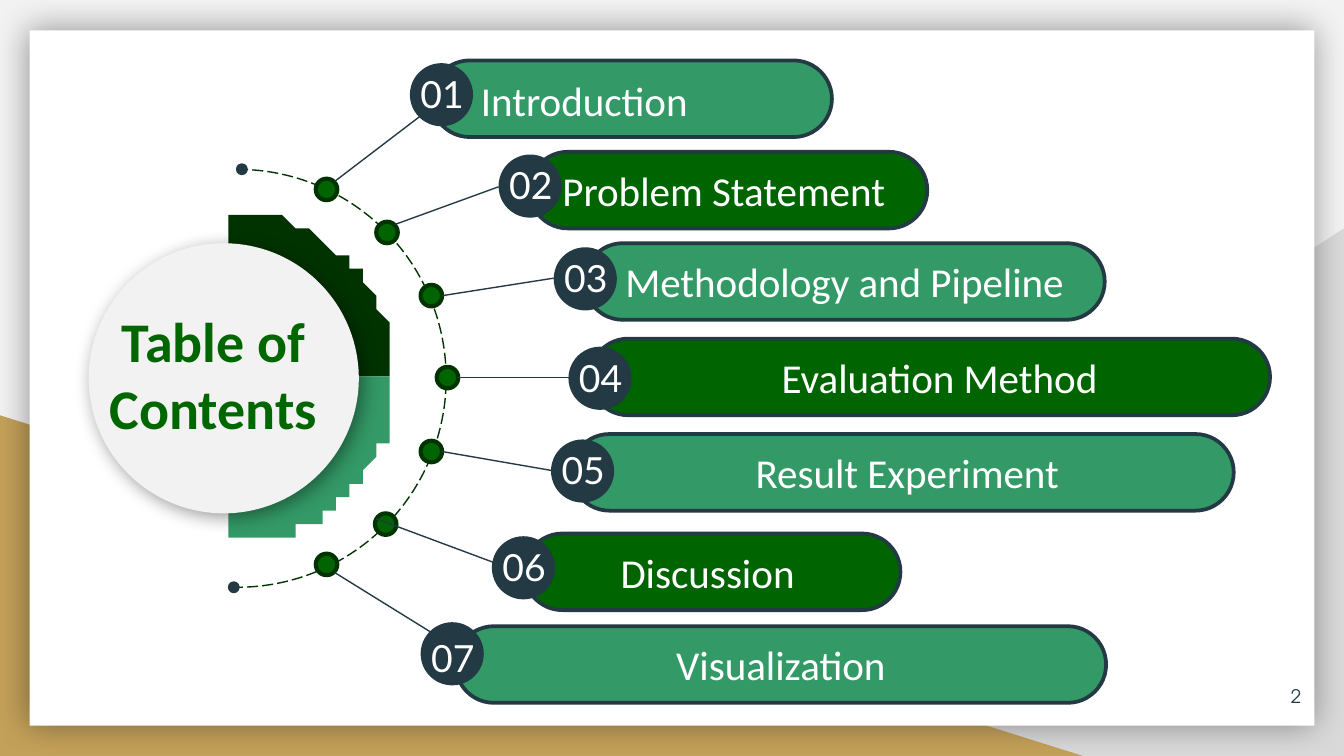
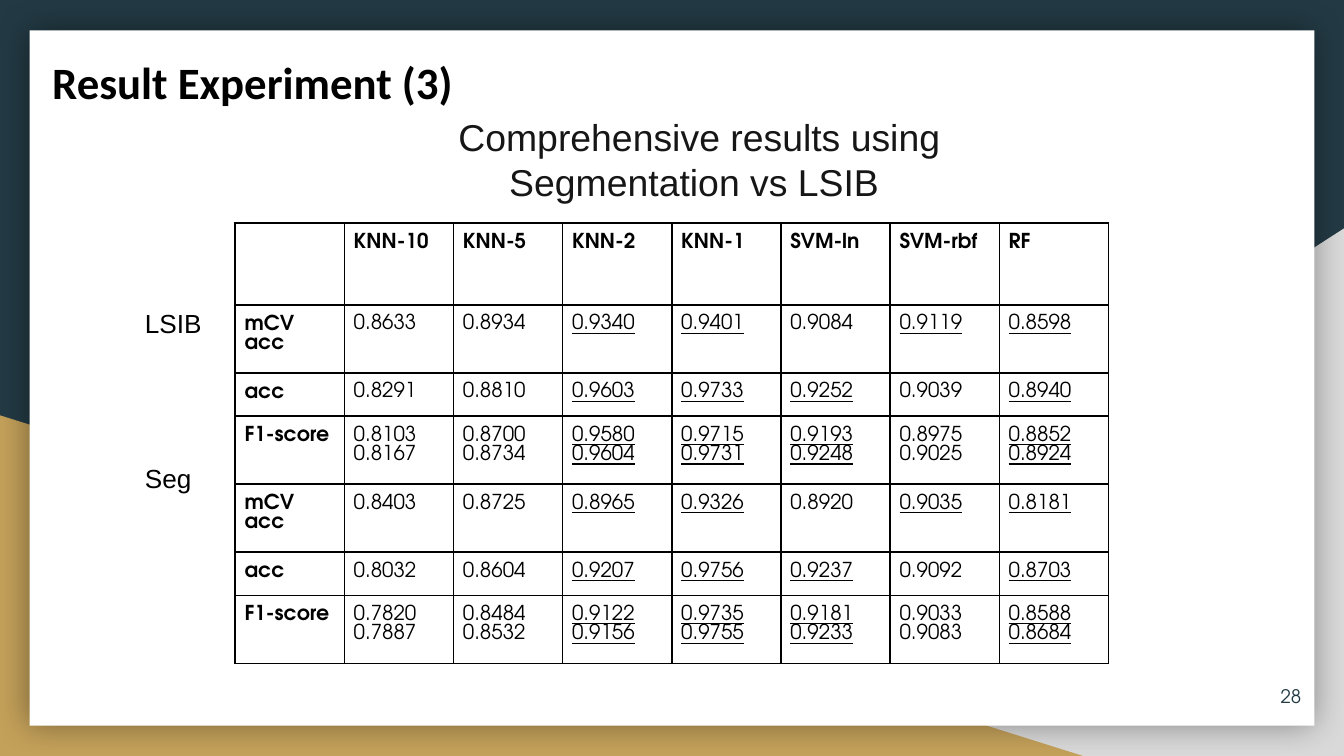
import math
from collections import namedtuple

import pptx
import pptx.dml.color
import pptx.enum.shapes
import pptx.enum.text
import pptx.oxml
import pptx.oxml.ns
import pptx.util
from lxml import etree

# The slide is a grid of 100 columns by 56.25 rows of square cells.
COLUMNS, ROWS = 100, 56.25
CELL = pptx.util.Inches(0.1)

NAVY, WHITE, BLACK, PALE = "233A44", "FFFFFF", "000000", "F2F2F2"
GREY, GOLD, CHARCOAL = "D9D9D9", "C4A15A", "161616"
DEEP, DARK, LIGHT, HEADING = "003300", "006400", "339966", "006600"
BODY, NUMERAL, PLAIN, GEOMETRIC = "Calibri", "Lato", "Arial", "TeX Gyre Adventor"

SHAPES = pptx.enum.shapes.MSO_SHAPE
ALIGN = pptx.enum.text.PP_ALIGN
ANCHOR = pptx.enum.text.MSO_ANCHOR


class Box(namedtuple("Box", "left top width height")):
    def inner(self, left, top, width, height):
        """Box placed relative to this one's top left corner."""
        return Box(self.left + left, self.top + top, width, height)

    def emu(self):
        return [cells(value) for value in self]


# number_drop moves the numeral down, lead pushes the title right
Topic = namedtuple("Topic", "title badge bar dot start end number_drop lead",
                   defaults=(1, 0))

# badge, dot, start and end are column and row; bar is offset from badge and width
TOPICS = [
    Topic("Introduction", (30.5, 4.7), (1.6, -0.2, 29.8), (23.5, 13.3),
          (24.9, 13.5), (31.2, 8.7)),
    Topic("Problem Statement ", (37.1, 11.5), (2.3, -0.2, 29.6), (28, 16.5),
          (29.4, 16.7), (37.1, 13.9)),
    Topic(" Methodology and Pipeline ", (41.2, 18.4), (2.3, -0.3, 38.7), (31.3, 21.2),
          (32.9, 22), (41.2, 20.7)),
    Topic("Evaluation Method", (42.3, 25.8), (1.6, -0.6, 50.6), (32.5, 27.3),
          (34.1, 28.1), (42.3, 28.1), lead=1.4),
    Topic("Result Experiment ", (41, 32.7), (1.5, -0.4, 49.3), (31.3, 32.8),
          (32.9, 33.6), (41, 35), lead=1.4),
    Topic("Discussion ", (36.6, 39.9), (2.4, -0.2, 28), (27.9, 38.2),
          (28, 38.6), (38.2, 42.4)),
    Topic("Visualization", (31.3, 46.3), (2.6, 0.3, 48.4), (23.5, 41.2),
          (24.9, 42.6), (32, 47), number_drop=5),
]

MODELS = ["KNN-10", "KNN-5", "KNN-2", "KNN-1", "SVM-ln", "SVM-rbf", "RF"]
RESULTS = [
    ("mCV acc", "0.8633 0.8934 0.9340 0.9401 0.9084 0.9119 0.8598"),
    ("acc", "0.8291 0.8810 0.9603 0.9733 0.9252 0.9039 0.8940"),
    ("F1-score", "0.8103/0.8167 0.8700/0.8734 0.9580/0.9604 0.9715/0.9731 "
                 "0.9193/0.9248 0.8975/0.9025 0.8852/0.8924"),
    ("mCV acc", "0.8403 0.8725 0.8965 0.9326 0.8920 0.9035 0.8181"),
    ("acc", "0.8032 0.8604 0.9207 0.9756 0.9237 0.9092 0.8703"),
    ("F1-score", "0.7820/0.7887 0.8484/0.8532 0.9122/0.9156 0.9735/0.9755 "
                 "0.9181/0.9233 0.9033/0.9083 0.8588/0.8684"),
]
ROW_HEIGHTS = {"": 6.1, "mCV acc": 5.06, "acc": 3.22, "F1-score": 5.06}


# Helpers
def cells(count):
    return round(count * CELL)


def rgb(value):
    return pptx.dml.color.RGBColor.from_string(value)


def style(shape, fill=None, line=None, weight=2):
    shape.shadow.inherit = False
    if fill:
        shape.fill.solid()
        shape.fill.fore_color.rgb = rgb(fill)
    else:
        shape.fill.background()
    if line:
        shape.line.color.rgb = rgb(line)
        shape.line.width = pptx.util.Pt(weight)
    else:
        shape.line.fill.background()
    return shape


def add_shape(slide, kind, box, fill=None, line=None, weight=2):
    shape = slide.shapes.add_shape(kind, *box.emu())
    return style(shape, fill, line, weight)


def add_shadow(shape, blur, distance=0, angle=0):
    effects = shape._element.spPr.find(pptx.oxml.ns.qn("a:effectLst"))
    effects.append(pptx.oxml.parse_xml(
        f'<a:outerShdw {pptx.oxml.ns.nsdecls("a")} blurRad="{pptx.util.Pt(blur)}" '
        f'dist="{pptx.util.Pt(distance)}" dir="{angle * 60000}" rotWithShape="0">'
        f'<a:srgbClr val="{BLACK}"><a:alpha val="40000"/></a:srgbClr></a:outerShdw>'))


def add_line(slide, start, end):
    line = slide.shapes.add_connector(
        pptx.enum.shapes.MSO_CONNECTOR.STRAIGHT,
        *[cells(value) for value in (*start, *end)])
    line.line.color.rgb = rgb(NAVY)
    line.line.width = pptx.util.Pt(0.75)
    etree.SubElement(line._element.spPr, pptx.oxml.ns.qn("a:effectLst"))


def write(frame, lines, size, font, color, bold=False, underline=False,
          align=ALIGN.LEFT, indent=0, spacing=None):
    for index, text in enumerate(lines):
        paragraph = frame.add_paragraph() if index else frame.paragraphs[0]
        paragraph.alignment = align
        if spacing:
            paragraph.line_spacing = pptx.util.Pt(spacing)
        if indent:
            properties = paragraph._p.get_or_add_pPr()
            properties.set("marL", str(cells(indent)))
            properties.set("indent", "0")
        run = paragraph.add_run()
        run.text = text
        run.font.size = pptx.util.Pt(size)
        run.font.name = font
        run.font.bold = bold
        run.font.underline = underline
        run.font.color.rgb = rgb(color)


def add_text(slide, box, lines, size, font, color, margin=0.5, wrap=True,
             anchor=ANCHOR.TOP, **options):
    frame = slide.shapes.add_textbox(*box.emu()).text_frame
    frame.word_wrap = wrap
    frame.vertical_anchor = anchor
    frame.margin_top = frame.margin_bottom = cells(margin)
    write(frame, lines, size, font, color, **options)


# Shared background, white card and page number
def add_page(presentation, background, number):
    slide = presentation.slides.add_slide(presentation.slide_layouts[6])
    slide.background.fill.solid()
    slide.background.fill.fore_color.rgb = rgb(background)
    page = Box(0, 0, COLUMNS, ROWS)
    right_corner = add_shape(slide, SHAPES.RIGHT_TRIANGLE,
                             page.inner(39.2, 17, 60.8, 39.25), GREY)
    right_corner._element.spPr.xfrm.set("flipH", "1")
    add_shape(slide, SHAPES.RIGHT_TRIANGLE, page.inner(0, 30.9, 80.6, 25.35), GOLD)
    card = page.inner(2.2, 2.25, 95.6, 51.75)
    add_shadow(add_shape(slide, SHAPES.RECTANGLE, card, WHITE), 18)
    add_text(slide, card.inner(89.6, 47.4, 6, 4.3), [str(number)], 10, GEOMETRIC,
             NAVY, margin=1, anchor=ANCHOR.MIDDLE, align=ALIGN.RIGHT)
    return slide


# Contents slide: dashed arc and its end points
def add_orbit(slide, box):
    arc = add_shape(slide, SHAPES.ARC, box, None, DEEP, 0.75)
    arc.adjustments[0], arc.adjustments[1] = 162, 54.465
    arc.line.dash_style = pptx.enum.dml.MSO_LINE.LONG_DASH
    for left, top in ((15.6, -0.3), (15, 30.8)):
        add_shape(slide, SHAPES.OVAL, box.inner(left, top, 0.6, 0.6), NAVY, NAVY)


# Contents slide: quarter discs behind the round title
def add_quarter(slide, center, radius, first_angle, fill):
    angles = [math.radians(first_angle + 3 * step) for step in range(31)]
    builder = slide.shapes.build_freeform(*center, scale=CELL)
    builder.add_line_segments([(center[0] + radius * math.cos(angle),
                                center[1] + radius * math.sin(angle))
                               for angle in angles])
    style(builder.convert_to_shape(), fill)


def add_hub(slide, box):
    center = (box.left + 10.5, box.top + 10.05)
    add_quarter(slide, center, 12.35, -90, DEEP)
    add_quarter(slide, center, 12.35, 0, LIGHT)
    add_shadow(add_shape(slide, SHAPES.OVAL, box, PALE), 10, 3, 45)
    add_text(slide, box.inner(-1, 4.2, 20.1, 11.1), ["Table of ", "Contents "], 30,
             BODY, HEADING, bold=True, align=ALIGN.CENTER, indent=1.4)


# Contents slide: one dot, its line, and the numbered bar
def add_spoke(slide, topic):
    add_shape(slide, SHAPES.OVAL, Box(*topic.dot, 1.6, 1.6), DARK, DEEP, 2.25)
    add_line(slide, topic.start, topic.end)


def add_topic(slide, number, topic):
    badge = Box(*topic.badge, 4.7, 4.7)
    left, top, width = topic.bar
    bar = add_shape(slide, SHAPES.ROUNDED_RECTANGLE, badge.inner(left, top, width, 5.7),
                    LIGHT if number % 2 else DARK, NAVY)
    bar.adjustments[0] = 0.5
    add_shape(slide, SHAPES.OVAL, badge, NAVY)
    add_text(slide, badge.inner(-0.2, topic.number_drop / 10, 5.6, 4.4),
             [f"{number:02}"], 20, NUMERAL, WHITE)
    if number == 1:
        add_text(slide, badge.inner(4.3, 0.4, 18.3, 4.7), [topic.title], 22, BODY,
                 WHITE, wrap=False)
    else:
        frame = bar.text_frame
        frame.word_wrap = True
        frame.vertical_anchor = ANCHOR.MIDDLE
        frame.margin_left = cells(1 + topic.lead)
        write(frame, [topic.title], 22, BODY, WHITE, align=ALIGN.CENTER)


def build_contents(presentation):
    slide = add_page(presentation, PALE, 2)
    add_orbit(slide, Box(2.1, 12.6, 31.1, 31.1))
    for topic in TOPICS:
        add_spoke(slide, topic)
    for number, topic in enumerate(TOPICS, 1):
        add_topic(slide, number, topic)
    add_hub(slide, Box(6.6, 18.1, 20.1, 20.1))


# Results slide: bordered table
def add_borders(cell):
    properties = cell._tc.get_or_add_tcPr()
    for index, side in enumerate(("lnL", "lnR", "lnT", "lnB")):
        properties.insert(index, pptx.oxml.parse_xml(
            f'<a:{side} {pptx.oxml.ns.nsdecls("a")} w="{pptx.util.Pt(1)}"><a:solidFill>'
            f'<a:srgbClr val="{BLACK}"/></a:solidFill></a:{side}>'))


def is_underlined(metric, model):
    if model == "SVM-ln":
        return metric in ("acc", "F1-score")
    if model == "SVM-rbf":
        return metric == "mCV acc"
    return model in ("KNN-2", "KNN-1", "RF")


def add_results(slide, box):
    rows = [["", *MODELS]] + [[metric, *values.split()] for metric, values in RESULTS]
    table = slide.shapes.add_table(len(rows), len(rows[0]), *box.emu()).table
    table.first_row = table.horz_banding = False
    for column in table.columns:
        column.width = cells(box.width / len(rows[0]))
    for row_index, row in enumerate(rows):
        metric = row[0]
        table.rows[row_index].height = cells(ROW_HEIGHTS[metric])
        for column_index, text in enumerate(row):
            cell = table.cell(row_index, column_index)
            cell.fill.background()
            add_borders(cell)
            cell.margin_left = cell.margin_right = cells(0.7)
            cell.margin_top = cell.margin_bottom = cells(0.7)
            if text:
                is_value = row_index > 0 and column_index > 0
                write(cell.text_frame, text.split("/"), 11, GEOMETRIC, BLACK,
                      bold=not is_value, spacing=10.5,
                      underline=is_value and is_underlined(metric, row_model(column_index)))


def row_model(column_index):
    return MODELS[column_index - 1]


def build_results(presentation):
    slide = add_page(presentation, NAVY, 28)
    add_text(slide, Box(1.5, 3.1, 41.5, 6.1), ["Result Experiment (3)"], 24, BODY,
             BLACK, margin=1, bold=True, indent=1.4)
    add_text(slide, Box(29.7, 8, 44.7, 7.7),
             ["Comprehensive results using Segmentation vs LSIB "], 20, PLAIN,
             CHARCOAL, align=ALIGN.CENTER)
    add_results(slide, Box(17.5, 16.6, 65, sum(ROW_HEIGHTS.values())))
    for label, top in (("LSIB", 22.4), ("Seg", 33.9)):
        add_text(slide, Box(9.8, top, 7, 3.4), [label], 14, PLAIN, BLACK)


def main():
    presentation = pptx.Presentation()
    presentation.slide_width = cells(COLUMNS)
    presentation.slide_height = cells(ROWS)
    build_contents(presentation)
    build_results(presentation)
    presentation.save("out.pptx")


if __name__ == "__main__":
    main()
